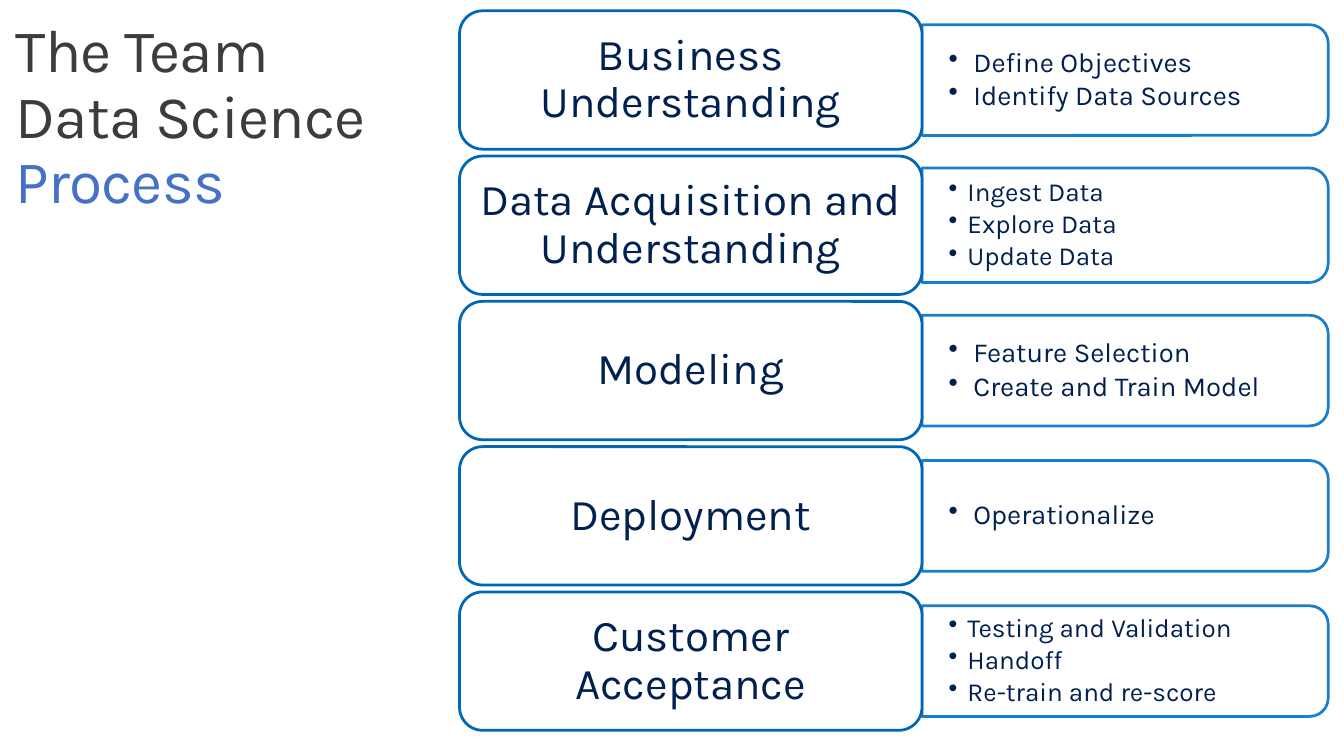
from dataclasses import dataclass

import pptx
import pptx.dml.color
import pptx.enum.shapes
import pptx.enum.text
import pptx.oxml.ns
import pptx.util
from lxml import etree

COLOURS = {
    "paper": "FFFFFF",
    "heading": "3C3C3C",
    "accent": "4472C4",
    "body": "002050",
    "stage_edge": "0067B4",
    "detail_edge": "0072C6",
}
FONT = "Karla"
SLIDE_W, SLIDE_H = 13.6, 7.65

# Grid: one row per stage, a stage column and a detail column
MARGIN_TOP = 0.11
ROW_PITCH, STAGE_H = 1.47, 1.4
STAGE_X, STAGE_W = 4.65, 4.68
DETAIL_X, DETAIL_W = STAGE_X + STAGE_W, 4.11
DETAIL_TEXT_W, DETAIL_TEXT_H = 4.05, 1.01


@dataclass(frozen=True)
class Stage:
    name: str
    tasks: tuple[str, ...]
    panel_height: float = 1.12
    task_size: int = 20
    hanging: float = 0.25


STAGES = (
    Stage("Business Understanding", ("Define Objectives", "Identify Data Sources")),
    Stage("Data Acquisition and Understanding",
          ("Ingest Data", "Explore Data", "Update Data"), 1.16, 19, 0.19),
    Stage("Modeling", ("Feature Selection", "Create and Train Model")),
    Stage("Deployment", ("Operationalize",)),
    Stage("Customer Acceptance",
          ("Testing and Validation", "Handoff", "Re-train and re-score"), 1.12, 19, 0.19),
)


def rgb(name: str) -> pptx.dml.color.RGBColor:
    return pptx.dml.color.RGBColor.from_string(COLOURS[name])


def inches(*lengths: float) -> list[pptx.util.Length]:
    return [pptx.util.Inches(length) for length in lengths]


def write(holder, paragraphs, *, size: float, inset: tuple[float, float],
          middle: bool = True, centred: bool = False, after: float = 0,
          hanging: float = 0, tracking: float = 0) -> None:
    """Fill a holder with paragraphs, each a sequence of (text, colour) runs."""
    frame = holder.text_frame
    frame.word_wrap = True
    anchors = pptx.enum.text.MSO_ANCHOR
    frame.vertical_anchor = anchors.MIDDLE if middle else anchors.TOP
    frame.margin_left = frame.margin_right = pptx.util.Inches(inset[0])
    frame.margin_top = frame.margin_bottom = pptx.util.Inches(inset[1])
    for index, runs in enumerate(paragraphs):
        paragraph = frame.add_paragraph() if index else frame.paragraphs[0]
        aligns = pptx.enum.text.PP_ALIGN
        paragraph.alignment = aligns.CENTER if centred else aligns.LEFT
        paragraph.line_spacing = 0.9
        paragraph.space_after = pptx.util.Pt(after)
        if hanging:
            properties = paragraph._p.get_or_add_pPr()
            indent = pptx.util.Inches(hanging)
            properties.set("marL", str(indent))
            properties.set("indent", str(-indent))
            bullet = etree.SubElement(properties, pptx.oxml.ns.qn("a:buChar"))
            bullet.set("char", "•")
        for text, colour in runs:
            run = paragraph.add_run()
            run.text = text
            run.font.name = FONT
            run.font.size = pptx.util.Pt(size)
            run.font.color.rgb = rgb(colour)
            if tracking:
                run.font._element.set("spc", str(round(tracking * 100)))


def add_box(slide, kind, left: float, top: float, width: float, height: float,
            *, edge: str, opacity: int = 100):
    box = slide.shapes.add_shape(kind, *inches(left, top, width, height))
    box.shadow.inherit = False
    box.fill.solid()
    box.fill.fore_color.rgb = rgb("paper")
    box.line.color.rgb = rgb(edge)
    box.line.width = pptx.util.Pt(2)
    if opacity < 100:
        for colour in box._element.spPr.iter(pptx.oxml.ns.qn("a:srgbClr")):
            alpha = etree.SubElement(colour, pptx.oxml.ns.qn("a:alpha"))
            alpha.set("val", str(opacity * 1000))
    return box


def add_stage(slide, stage: Stage, row: int) -> None:
    kinds = pptx.enum.shapes.MSO_SHAPE
    top = MARGIN_TOP + row * ROW_PITCH
    middle = top + STAGE_H / 2

    # Detail panel, turned so its rounded corners face right
    panel = add_box(slide, kinds.ROUND_2_SAME_RECTANGLE,
                    DETAIL_X + (DETAIL_W - stage.panel_height) / 2,
                    middle - DETAIL_W / 2, stage.panel_height, DETAIL_W,
                    edge="detail_edge", opacity=90)
    panel.rotation = 90
    tasks = slide.shapes.add_textbox(*inches(
        DETAIL_X, middle - DETAIL_TEXT_H / 2, DETAIL_TEXT_W, DETAIL_TEXT_H))
    write(tasks, [[(task, "body")] for task in stage.tasks], size=stage.task_size,
          inset=(0.27, 0.14), after=0.15 * stage.task_size, hanging=stage.hanging)

    # Stage name
    name = add_box(slide, kinds.ROUNDED_RECTANGLE, STAGE_X, top, STAGE_W, STAGE_H,
                   edge="stage_edge")
    write(name, [[(stage.name, "body")]], size=32, inset=(0.13, 0.07), centred=True)


def main() -> None:
    deck = pptx.Presentation()
    deck.slide_width, deck.slide_height = inches(SLIDE_W, SLIDE_H)
    slide = deck.slides.add_slide(deck.slide_layouts[6])

    # Title
    title = slide.shapes.add_textbox(*inches(0, MARGIN_TOP, 3.86, 2.26))
    write(title, [[("The Team Data Science ", "heading"), ("Process", "accent")]],
          size=44, inset=(0.16, 0.1), middle=False, tracking=-0.6)

    # Process stages
    for row, stage in enumerate(STAGES):
        add_stage(slide, stage, row)

    deck.save("out.pptx")


if __name__ == "__main__":
    main()
